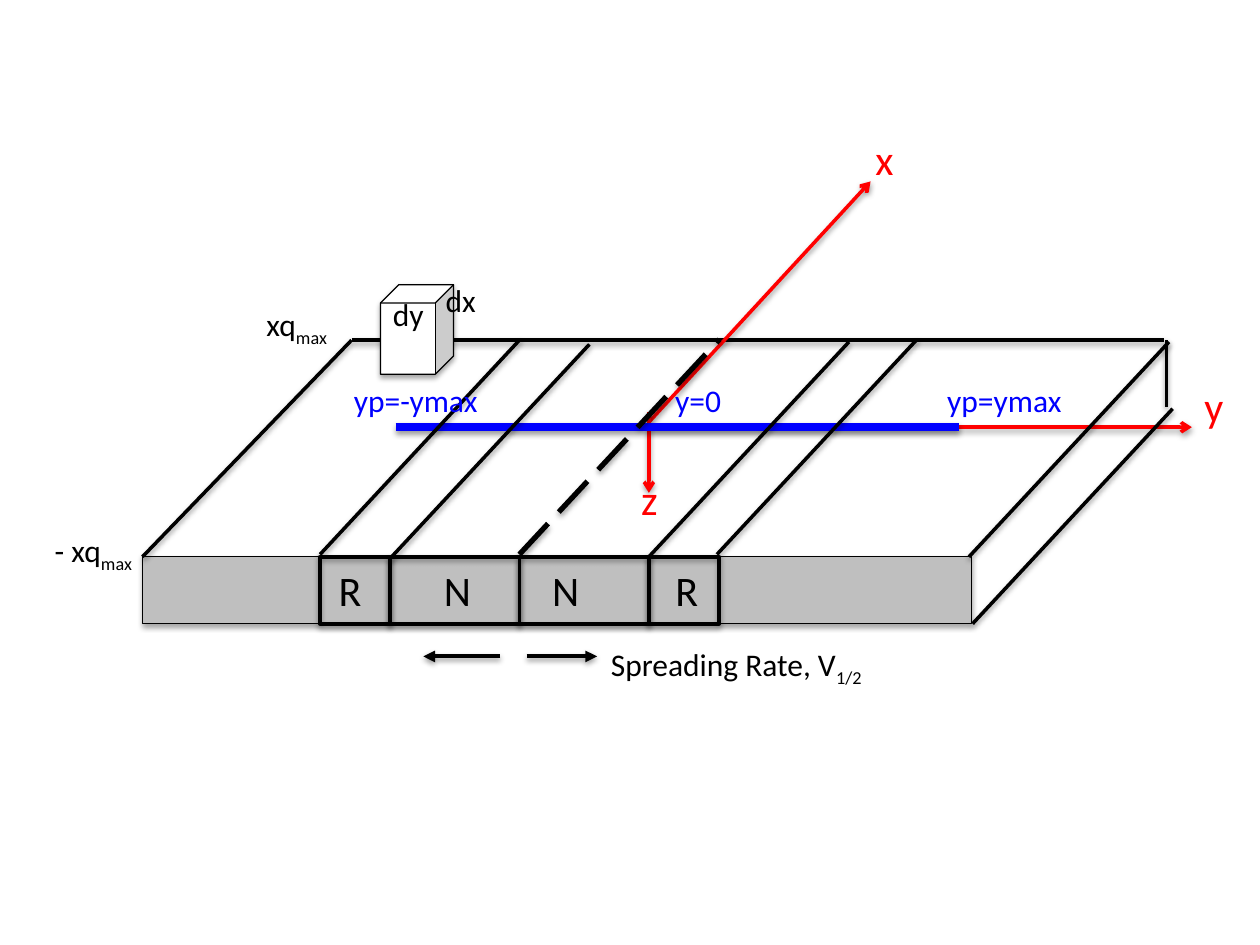
from dataclasses import dataclass
from lxml import etree
from pptx import Presentation
from pptx.dml.color import RGBColor
from pptx.enum.dml import MSO_LINE
from pptx.enum.shapes import MSO_CONNECTOR, MSO_SHAPE
from pptx.enum.text import MSO_AUTO_SIZE
from pptx.oxml.ns import qn
from pptx.util import Pt

STRAIGHT = MSO_CONNECTOR.STRAIGHT
RECT, CUBE = MSO_SHAPE.RECTANGLE, MSO_SHAPE.CUBE
LONG_DASH = MSO_LINE.LONG_DASH
GROW = MSO_AUTO_SIZE.SHAPE_TO_FIT_TEXT


@dataclass(frozen=True)
class Theme:
    font: str = "Calibri"
    ink: RGBColor = RGBColor(0, 0, 0)
    axis: RGBColor = RGBColor(255, 0, 0)
    profile: RGBColor = RGBColor(0, 0, 255)
    slab: RGBColor = RGBColor(191, 191, 191)
    paper: RGBColor = RGBColor(255, 255, 255)
    large: int = 24
    small: int = 18
    thin: float = 0.75
    edge: float = 2
    outline: float = 2.25
    dashed: float = 3
    heavy: float = 4.5


T = Theme()


def add_shadow(sp, alpha, dist):
    effects = etree.SubElement(sp._element.spPr, qn("a:effectLst"))
    shadow = etree.SubElement(
        effects, qn("a:outerShdw"), blurRad=str(Pt(3.15)), dist=str(Pt(dist)),
        dir="5400000", rotWithShape="0")
    color = etree.SubElement(shadow, qn("a:srgbClr"), val=str(T.ink))
    etree.SubElement(color, qn("a:alpha"), val=str(alpha * 1000))


def add_line(s, x, y, dx, dy, color=T.ink, width=T.edge, dash=None, tail=None):
    sp = s.shapes.add_connector(STRAIGHT, Pt(x), Pt(y), Pt(x + dx), Pt(y + dy))
    sp.line.color.rgb = color
    sp.line.width = Pt(width)
    if dash:
        sp.line.dash_style = dash
    if tail:
        etree.SubElement(sp.line._get_or_add_ln(), qn("a:tailEnd"), type=tail)
    add_shadow(sp, 38, 1.57)


def add_block(s, kind, x, y, w, h, fill=None, width=T.thin):
    sp = s.shapes.add_shape(kind, Pt(x), Pt(y), Pt(w), Pt(h))
    if fill is None:
        sp.fill.background()
    else:
        sp.fill.solid()
        sp.fill.fore_color.rgb = fill
    sp.line.color.rgb = T.ink
    sp.line.width = Pt(width)
    add_shadow(sp, 35, 1.81)


def add_label(s, x, y, w, text, sub="", size=T.small, color=T.ink, wrap=True):
    sp = s.shapes.add_textbox(Pt(x), Pt(y), Pt(w), Pt(size * 1.2 + 14.4))
    tf = sp.text_frame
    tf.word_wrap = wrap
    tf.auto_size = GROW
    p = tf.paragraphs[0]
    for part, baseline in ((text, None), (sub, "-25000")):
        if not part:
            continue
        r = p.add_run()
        r.text = part
        r.font.name = T.font
        r.font.size = Pt(size)
        r.font.color.rgb = color
        if baseline:
            r._r.get_or_add_rPr().set("baseline", baseline)


def draw_slab(s, x, y, w, h):
    add_block(s, RECT, x, y, w, h, T.slab)
    add_line(s, x, y, 119.5, -123.8)
    add_line(s, x + 119.5, y - 123.8, 464.4, 0)
    add_line(s, x + 585.3, y - 123.8, 0, 38.2)


def draw_axes(s, x, y):
    for dy, vx, vy in ((0, 310.3, 0), (-2.9, 126.7, -137.5), (-8.6, 0, 46.1)):
        add_line(s, x, y + dy, vx, vy, T.axis, tail="arrow")
    for text, dx, dy in (("x", 122.4, -171.4), ("y", 310.3, -30.2), ("z", -11.5, 23)):
        add_label(s, x + dx, y + dy, 31, text, size=T.large, color=T.axis)
    add_line(s, x - 144.7, y, 321.8, 0, T.profile, T.heavy)


def draw_stripes(s, x, y, w, h):
    dx, dy = 114.3, -122.8
    left = x + 101.4
    add_line(s, left + 114, y - 1.4, dx, dy, width=T.dashed, dash=LONG_DASH)
    for text, width, inset in (("R", 40, 3.6), ("N", 74.1, 23.7),
                               ("N", 74.1, 11.5), ("R", 40, 7.9)):
        add_block(s, RECT, left, y, width, h, width=T.outline)
        add_label(s, left + inset, y + 1, 95, text, size=T.large)
        left += width
    for start, drop in ((101.5, -1.4), (141.1, 1.4), (289.4, 0),
                        (328.3, -1.4), (w - 1.5, 0), (w + 0.6, h)):
        add_line(s, x + start, y + drop, dx, dy)


def draw_cell(s, x, y, w, h):
    add_block(s, CUBE, x, y, w, h, T.paper)
    add_label(s, x + 30.2, y - 5.8, 31.7, "dx", wrap=False)
    add_label(s, x, y + 2.2, 32.4, "dy", wrap=False)


def draw_limits(s, x, y):
    for text, dx in (("yp=-ymax", 0), ("y=0", 183.6), ("yp=ymax", 339.1)):
        add_label(s, x + dx, y, 100.8, text, color=T.profile)
    add_label(s, x - 54, y - 43.2, 100.8, " xq", "max")
    add_label(s, x - 175, y + 86, 100.8, " - xq", "max")


def draw_spreading(s, x, y):
    add_line(s, x + 43.9, y, -43.9, 0, width=T.outline, tail="triangle")
    add_line(s, x + 59, y, 40.3, 0, width=T.outline, tail="triangle")
    add_label(s, x + 100.1, y - 10.1, 161.3, "Spreading Rate, V", "1/2", wrap=False)


prs = Presentation()
prs.slide_width, prs.slide_height = Pt(720), Pt(540)
s = prs.slides.add_slide(prs.slide_layouts[6])
slab = (81.4, 318.2, 473.8, 38.2)
draw_slab(s, *slab)
draw_axes(s, 370.8, 244.1)
draw_cell(s, 217.4, 162.7, 41.8, 51.1)
draw_stripes(s, *slab)
draw_limits(s, 195.1, 214.2)
draw_spreading(s, 241.9, 375.1)
prs.save("out.pptx")
